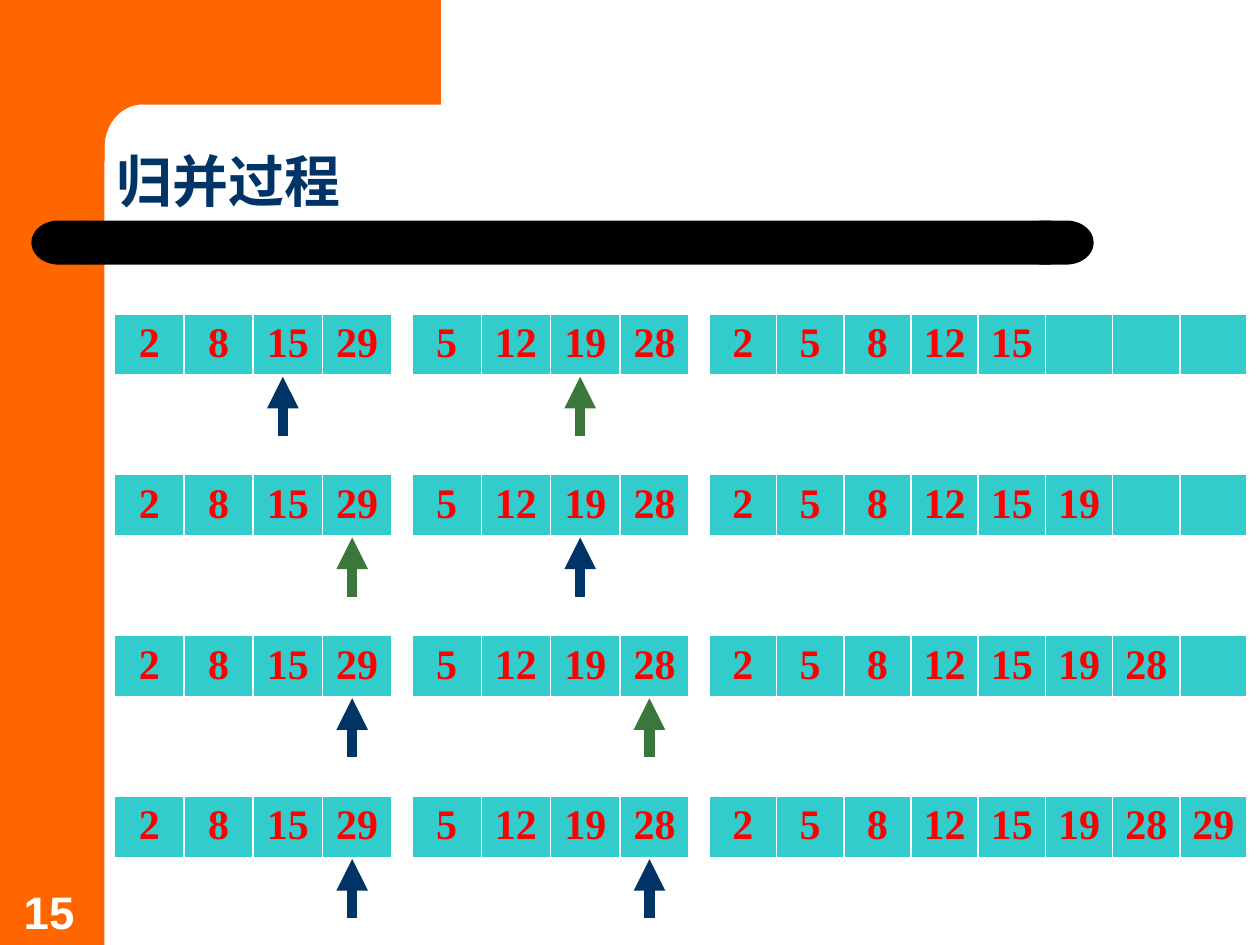
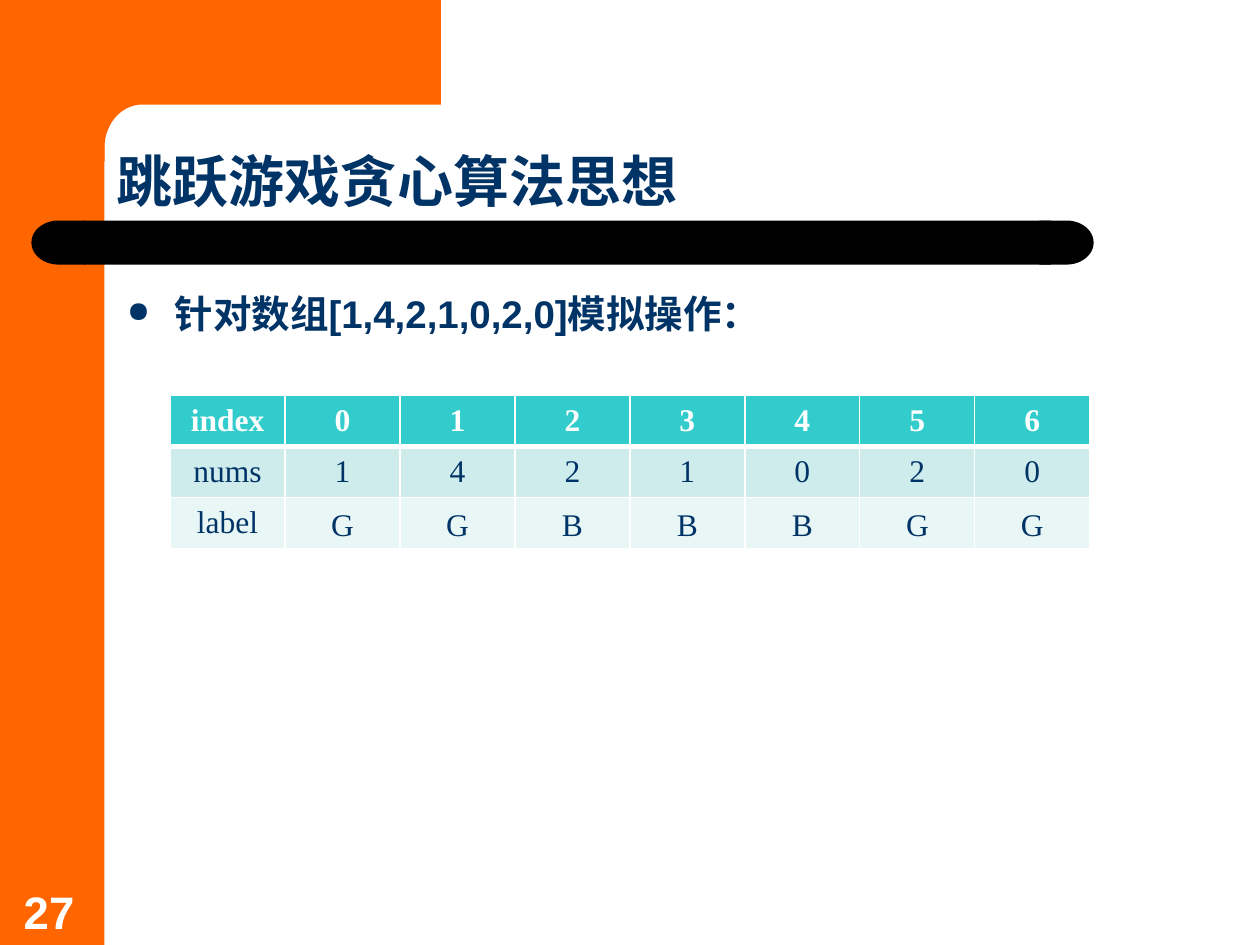
import math

from pptx import Presentation
from pptx import util as u
from pptx.dml.color import RGBColor
from pptx.enum import shapes, text
from pptx.oxml import ns, xmlchemy

Inches, Pt = u.Inches, u.Pt
SHAPE = shapes.MSO_SHAPE

# Colours and fonts
ORANGE = RGBColor(0xFF, 0x66, 0x00)
BLACK = RGBColor(0x00, 0x00, 0x00)
WHITE = RGBColor(0xFF, 0xFF, 0xFF)
NAVY = RGBColor(0x00, 0x33, 0x66)
GREEN = RGBColor(0x3B, 0x77, 0x3B)
RED = RGBColor(0xFF, 0x00, 0x00)
TEAL = RGBColor(0x33, 0xCC, 0xCC)
PALE_TEAL = RGBColor(0xCE, 0xEC, 0xEC)
FAINT_TEAL = RGBColor(0xE8, 0xF6, 0xF6)
SERIF, SANS = "Times New Roman", "Arial"

# Merge process: both inputs, the full result, and where the rows stand
LEFT_RUN = [2, 8, 15, 29]
RIGHT_RUN = [5, 12, 19, 28]
MERGED = sorted(LEFT_RUN + RIGHT_RUN)
LEFT_X, RIGHT_X, MERGED_X = 0.91, 3.27, 5.63
RUN_WIDTH, MERGED_WIDTH = 2.2, 4.27
FIRST_STEP_Y, STEP_PITCH = 2.49, 1.276
# (values merged, left index, its colour, right index, its colour)
STEPS = [
    (5, 2, NAVY, 2, GREEN),
    (6, 3, GREEN, 2, NAVY),
    (7, 3, NAVY, 3, GREEN),
    (8, 3, NAVY, 3, NAVY),
]

# Jump game
JUMPS = [1, 4, 2, 1, 0, 2, 0]
LABELS = "GGBBBGG"
JUMP_X, JUMP_Y, JUMP_WIDTH = 1.35, 3.14, 7.3


def sub(parent, tag, **attrs):
    """Append an XML child such as a:ln to parent."""
    child = xmlchemy.OxmlElement(tag)
    for name, value in attrs.items():
        child.set(name, str(value))
    parent.append(child)
    return child


def add_run(p, content, size, color, bold=False, font=SERIF):
    r = p.add_run()
    r.text = str(content)
    r.font.name = font
    r.font.size = Pt(size)
    r.font.bold = bold
    r.font.color.rgb = color


def add_textbox(s, x, y, w, h, anchor=text.MSO_ANCHOR.TOP, wrap=True):
    tf = s.shapes.add_textbox(Inches(x), Inches(y), Inches(w), Inches(h)).text_frame
    tf.word_wrap = wrap
    tf.vertical_anchor = anchor
    return tf.paragraphs[0]


def paint(sp, color):
    sp.shadow.inherit = False
    sp.fill.solid()
    sp.fill.fore_color.rgb = color
    sp.line.fill.background()


def add_block(s, kind, x, y, w, h, color):
    sp = s.shapes.add_shape(kind, Inches(x), Inches(y), Inches(w), Inches(h))
    paint(sp, color)
    return sp


def add_corner(s):
    """Top band whose inner corner is a quarter ellipse."""
    cx, cy, rx, ry = 1.13, 1.17, 0.3, 0.34
    angles = [math.radians(a) for a in range(0, 91, 6)]
    arc = [(cx - rx * math.sin(a), cy - ry * math.cos(a)) for a in angles]
    outline = [(3.5, 0), (3.5, 0.83), *arc, (0.83, 1.28), (0.5, 1.28)]
    fb = s.shapes.build_freeform(Inches(0.5), 0)
    fb.add_line_segments([(Inches(x), Inches(y)) for x, y in outline])
    paint(fb.convert_to_shape(), ORANGE)


def add_slide(prs, title, number):
    """Blank slide with the shared frame, title and page number."""
    s = prs.slides.add_slide(prs.slide_layouts[6])
    add_block(s, SHAPE.RECTANGLE, 0, 0, 0.83, 7.5, ORANGE)
    add_corner(s)
    # Black title bar with rounded ends
    add_block(s, SHAPE.RECTANGLE, 0.67, 1.75, 7.67, 0.35, BLACK)
    left_end = add_block(s, SHAPE.FLOWCHART_DELAY, 0.25, 1.75, 0.43, 0.35, BLACK)
    left_end._element.spPr.find(ns.qn("a:xfrm")).set("flipH", "1")
    add_block(s, SHAPE.FLOWCHART_DELAY, 8.25, 1.75, 0.43, 0.35, BLACK)

    p = add_textbox(s, 0.83, 0.83, 8.73, 0.92, text.MSO_ANCHOR.BOTTOM)
    p.line_spacing = 0.9
    add_run(p, title, 32, NAVY, True)
    p = add_textbox(s, 0.09, 6.97, 0.64, 0.53, text.MSO_ANCHOR.BOTTOM)
    add_run(p, number, 26, WHITE, True, SANS)
    return s


def set_borders(cell, bottom):
    tcPr = cell._tc.get_or_add_tcPr()
    for side, width in (("L", 1), ("R", 1), ("T", 1), ("B", bottom)):
        ln = sub(tcPr, f"a:ln{side}", w=Pt(width))
        sub(sub(ln, "a:solidFill"), "a:srgbClr", val=WHITE)


def fill_cell(cell, value, fill, size, color, bold, bottom):
    set_borders(cell, bottom)
    cell.fill.solid()
    cell.fill.fore_color.rgb = fill
    if value != "":
        p = cell.text_frame.paragraphs[0]
        p.alignment = text.PP_ALIGN.CENTER
        add_run(p, value, size, color, bold)


def add_grid(s, x, y, w, row_h, rows, cols):
    frame = s.shapes.add_table(rows, cols, Inches(x), Inches(y),
                               Inches(w), Inches(row_h * rows))
    table = frame.table
    table.first_row = table.horz_banding = False
    return table


def add_array(s, x, y, w, row_h, values):
    table = add_grid(s, x, y, w, row_h, 1, len(values))
    for cell, value in zip(table.iter_cells(), values):
        fill_cell(cell, value, TEAL, 24, RED, True, 3)


def add_pointer(s, array_x, index, y, color):
    """Upward arrow under one cell of an input array."""
    x = Inches(array_x + RUN_WIDTH / len(LEFT_RUN) * (index + 0.5) - 0.04)
    c = s.shapes.add_connector(shapes.MSO_CONNECTOR.STRAIGHT,
                               x, Inches(y + 0.97), x, Inches(y + 0.5))
    c.line.color.rgb = color
    c.line.width = Pt(6)
    sub(c.line._get_or_add_ln(), "a:tailEnd", type="triangle")
    sub(c._element.spPr, "a:effectLst")


def add_bullet(p):
    pPr = p._p.get_or_add_pPr()
    pPr.set("marL", str(Inches(0.38)))
    pPr.set("indent", str(-Inches(0.38)))
    sub(sub(pPr, "a:buClr"), "a:srgbClr", val=NAVY)
    sub(pPr, "a:buSzPct", val=75000)
    sub(pPr, "a:buChar", char="●")


def build_merge_slide(prs):
    s = add_slide(prs, "归并过程", 15)
    for i, (done, left, left_color, right, right_color) in enumerate(STEPS):
        y = FIRST_STEP_Y + i * STEP_PITCH
        result = MERGED[:done] + [""] * (len(MERGED) - done)
        add_array(s, LEFT_X, y, RUN_WIDTH, 0.41, LEFT_RUN)
        add_array(s, RIGHT_X, y, RUN_WIDTH, 0.41, RIGHT_RUN)
        add_array(s, MERGED_X, y, MERGED_WIDTH, 0.5, result)
        add_pointer(s, LEFT_X, left, y, left_color)
        add_pointer(s, RIGHT_X, right, y, right_color)


def build_jump_slide(prs):
    s = add_slide(prs, "跳跃游戏贪心算法思想", 27)
    p = add_textbox(s, 0.91, 2.18, 8.35, 5.12)
    p.line_spacing = 1.2
    p.space_before = Pt(10)
    add_bullet(p)
    add_run(p, "针对数组", 22, NAVY, True)
    add_run(p, "[1,4,2,1,0,2,0]", 22, NAVY, True, SANS)
    add_run(p, "模拟操作：", 22, NAVY, True)

    # Table of indexes and jump lengths
    count = len(JUMPS)
    rows = [
        (["index", *range(count)], TEAL, WHITE, True, 3),
        (["nums", *JUMPS], PALE_TEAL, NAVY, False, 1),
        (["label"] + [""] * count, FAINT_TEAL, NAVY, False, 1),
    ]
    table = add_grid(s, JUMP_X, JUMP_Y, JUMP_WIDTH, 0.405, len(rows), count + 1)
    for i, (values, fill, color, bold, bottom) in enumerate(rows):
        for j, value in enumerate(values):
            cell = table.cell(i, j)
            cell.vertical_anchor = text.MSO_ANCHOR.MIDDLE
            fill_cell(cell, value, fill, 18, color, bold, bottom)

    # Good / bad labels over the last row
    col_w = JUMP_WIDTH / (count + 1)
    for i, label in enumerate(LABELS, start=1):
        x = JUMP_X + col_w * (i + 0.5) - 0.2
        p = add_textbox(s, x, 3.96, 0.4, 0.4, wrap=False)
        p.alignment = text.PP_ALIGN.CENTER
        add_run(p, label, 18, NAVY)


def main():
    prs = Presentation()
    prs.slide_width, prs.slide_height = Inches(10), Inches(7.5)
    build_merge_slide(prs)
    build_jump_slide(prs)
    prs.save("out.pptx")


if __name__ == "__main__":
    main()
